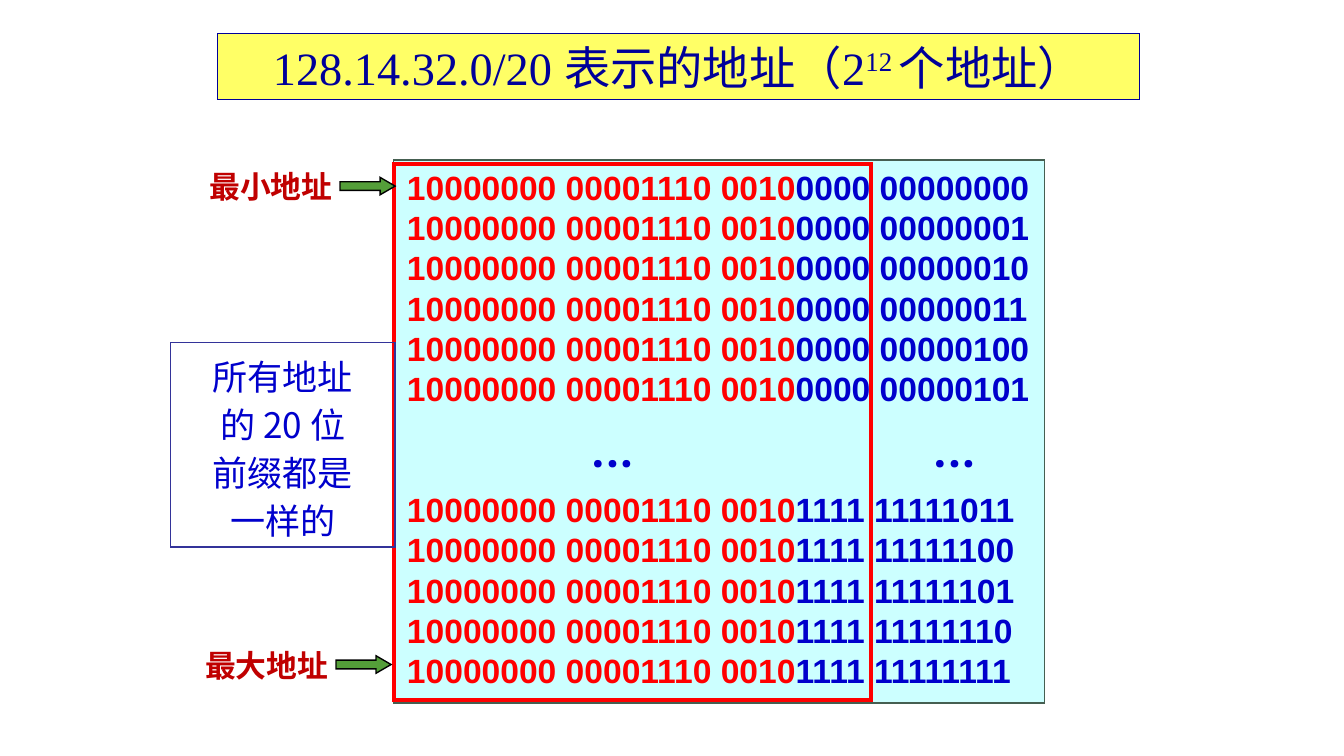
from lxml import etree
from pptx import Presentation
from pptx import util as u
from pptx.dml.color import RGBColor
from pptx.enum import shapes, text
from pptx.oxml import ns

BLUE, RED, NAVY = "0000CC", "FF0000", "000099"
HAN = "Noto Sans CJK SC"


def tint(code):
    """Turn a hex string into a colour."""
    return RGBColor.from_string(code)


def write(para, words, size=18, font="Arial", color=BLUE, bold=False, base=0):
    """Add a formatted run to a paragraph."""
    run = para.add_run()
    run.text = words
    run.font.size = u.Pt(size)
    run.font.name = font
    run.font.bold = bold
    run.font.color.rgb = tint(color)
    props = run.font._element
    etree.SubElement(props, ns.qn("a:ea")).set("typeface", HAN)
    if base:
        props.set("baseline", str(base * 1000))


class Board:
    """Hold the style and the current slide."""

    def __init__(self, deck):
        """Start a slide that has a title."""
        self.slide = deck.slides.add_slide(deck.slide_layouts[5])
        self.root = self.slide.shapes

    def paint(self, shape, fill, line, width=0.75):
        """Set the fill and the sharp-cornered outline of a shape."""
        if fill:
            shape.fill.solid()
            shape.fill.fore_color.rgb = tint(fill)
        else:
            shape.fill.background()
        shape.line.color.rgb = tint(line)
        shape.line.width = u.Pt(width)
        edge = shape._element.spPr.find(ns.qn("a:ln"))
        etree.SubElement(edge, ns.qn("a:miter")).set("lim", "800000")

    def title(self, box, parts):
        """Place the title and write its parts."""
        shape = self.root.title
        shape.left, shape.top, shape.width, shape.height = map(u.Inches, box)
        self.paint(shape, "FFFF66", NAVY)
        frame = shape.text_frame
        frame.auto_size = text.MSO_AUTO_SIZE.NONE
        frame.vertical_anchor = text.MSO_ANCHOR.MIDDLE
        frame.margin_left = frame.margin_right = u.Inches(0.07)
        frame.margin_top = frame.margin_bottom = u.Inches(0.04)
        para = frame.paragraphs[0]
        para.alignment = text.PP_ALIGN.CENTER
        para.line_spacing = 1.0
        for words, base in parts:
            write(para, words, size=24.8, font="Times New Roman", color=NAVY, base=base)

    def shape(self, box, fill, line, width=0.75, kind="RECTANGLE", home=None):
        """Add a preset shape."""
        preset = getattr(shapes.MSO_SHAPE, kind)
        item = (home or self.root).add_shape(preset, *map(u.Inches, box))
        item.shadow.inherit = False
        self.paint(item, fill, line, width)
        return item

    def lines(self, shape, rows, size, align=text.PP_ALIGN.LEFT, pitch=None, gaps=None):
        """Write rows of (words, format) runs, evenly spaced."""
        pitch = pitch or size * 1.2
        frame = shape.text_frame
        frame.word_wrap = True
        frame.vertical_anchor = text.MSO_ANCHOR.TOP
        for i, row in enumerate(rows):
            para = frame.add_paragraph() if i else frame.paragraphs[0]
            para.alignment = align
            para.line_spacing = u.Pt(pitch)
            if gaps and i in gaps:
                para.space_before = u.Pt(gaps[i] * pitch)
            for words, style in row:
                write(para, words, size=size, **style)

    def label(self, box, words, size, home=None, **style):
        """Add a text box of one line."""
        item = (home or self.root).add_textbox(*map(u.Inches, box))
        self.lines(item, [[(words, style)]], size)
        item.text_frame.word_wrap = False

    def mark(self, left, top, words):
        """Add a label with an arrow to its right."""
        home = self.root.add_group_shape().shapes
        self.label((left, top, 1.13, 0.38), words, 16.5, home, color="C00000", bold=True)
        arrow = self.shape((left + 1.07, top + 0.12, 0.41, 0.13), "549E39", "000000",
                           kind="RIGHT_ARROW", home=home)
        arrow.adjustments[1] = 0.86


def main():
    """Build the slide and save it."""
    deck = Presentation()
    deck.slide_width, deck.slide_height = u.Inches(10), u.Inches(10 * 9 / 16)
    board = Board(deck)
    board.title((1.62, 0.25, 6.86, 0.49),
                [("128.14.32.0/20 表示的地址（2", 0), ("12 ", 30), ("个地址）", 0)])

    tails = [f"0000 {n:08b}" for n in range(6)]
    tails += [f"1111 {n:08b}" for n in range(251, 256)]
    rows = [[("10000000 00001110 0010", dict(color=RED, bold=True)),
             (tail, dict(bold=True))] for tail in tails]
    panel = board.shape((2.93, 1.19, 4.84, 4.04), "CCFFFF", "455F51")
    board.lines(panel, rows, 18, gaps={6: 2})
    for left in (6.83, 4.29):
        board.label((left, 2.92, 0.72, 0.72), "…", 36.8, font="Roboto")
    board.shape((2.93, 1.22, 3.55, 3.99), None, RED, 2.25)

    note = board.shape((1.27, 2.55, 1.67, 1.52), None, "333399")
    rows = [[(words, dict(font=HAN))]
            for words in ("所有地址", "的 20 位", "前缀都是", "一样的")]
    board.lines(note, rows, 18.8, text.PP_ALIGN.CENTER, pitch=25.8)

    board.mark(1.46, 1.2, "最小地址")
    board.mark(1.43, 4.76, "最大地址")
    deck.save("out.pptx")


if __name__ == "__main__":
    main()
